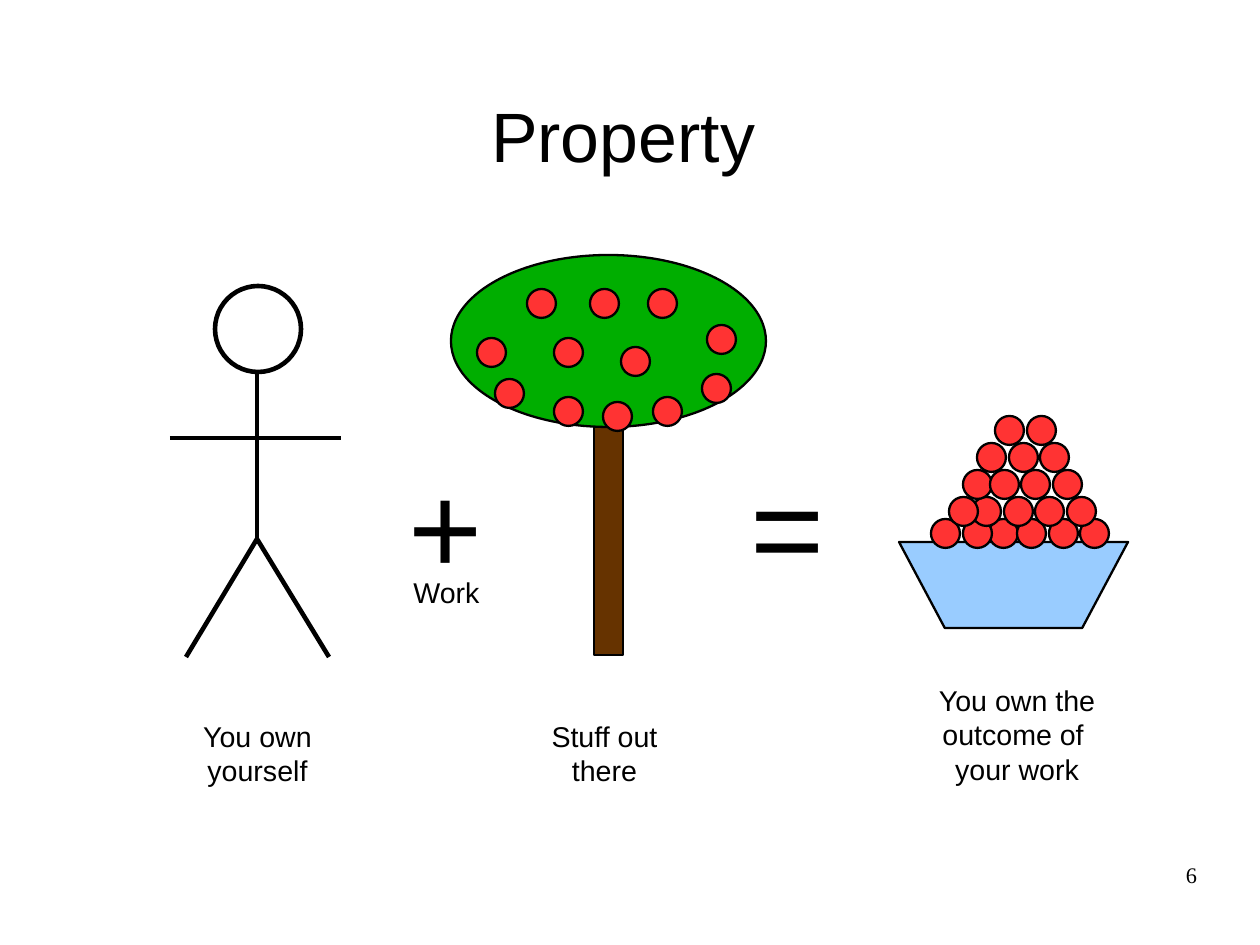
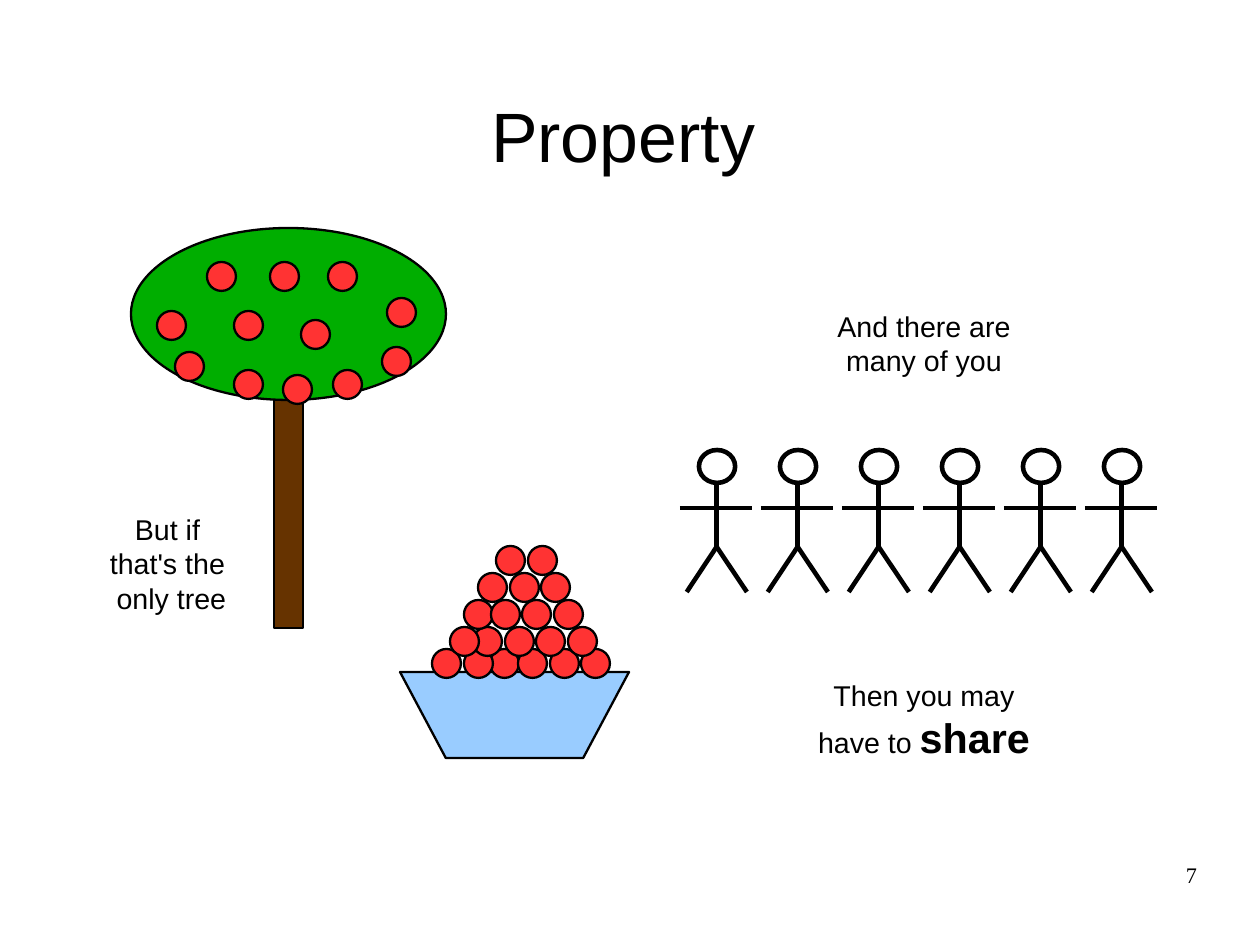
"""Build two slides that explain property with people, a tree and a bowl of apples."""
from lxml import etree
from pptx import Presentation
from pptx.dml.color import RGBColor
from pptx.enum.shapes import MSO_CONNECTOR, MSO_SHAPE
from pptx.enum.text import MSO_ANCHOR, PP_ALIGN
from pptx.oxml.ns import qn
from pptx.util import Pt

PX = 8000
SLIDE_SIZE = (1260, 945)
ELLIPSE = MSO_SHAPE.OVAL
RECTANGLE = MSO_SHAPE.RECTANGLE
BOWL = MSO_SHAPE.FLOWCHART_MANUAL_OPERATION
STRAIGHT = MSO_CONNECTOR.STRAIGHT
LEFT, CENTER, RIGHT = PP_ALIGN.LEFT, PP_ALIGN.CENTER, PP_ALIGN.RIGHT
TOP, MIDDLE = MSO_ANCHOR.TOP, MSO_ANCHOR.MIDDLE

BLACK, RED, GREEN = "000000", "FF3333", "00AE00"
BROWN, BLUE = "663300", "99CCFF"
SANS, SERIF = "Arial", "Times New Roman"
THIN, THICK = 1.45, 2.89
APPLE = 29

TREE_SIZE = (315, 400)
TREE_APPLES = [
    (26, 83), (256, 70), (44, 124), (103, 142), (202, 142), (251, 119),
    (170, 92), (103, 83), (76, 34), (197, 34), (152, 147), (139, 34),
]
BOWL_SIZE = (229, 212)
PILE_ROWS = [
    (103, (32, 90, 64, 118, 150, 181)),
    (81, (168, 136, 105, 73, 50)),
    (54, (64, 91, 122, 154)),
    (27, (141, 110, 78)),
    (0, (96, 128)),
]
PERSON_GRID = (171, 371)
PERSON_LINES = [
    ((87, 86), (87, 257)),
    ((0, 152), (171, 152)),
    ((16, 371), (87, 253)),
    ((159, 371), (87, 253)),
]


def px(value):
    """Turn px into EMU."""
    return round(value * PX)


def color(hex_value):
    """Turn a hex string into a colour."""
    return RGBColor.from_string(hex_value)


def add_figure(shapes, preset, box, fill=None, weight=THIN):
    """Add an outlined preset shape, filled if a colour is given."""
    figure = shapes.add_shape(preset, *map(px, box))
    figure.shadow.inherit = False
    if fill:
        figure.fill.solid()
        figure.fill.fore_color.rgb = color(fill)
    else:
        figure.fill.background()
    figure.line.color.rgb = color(BLACK)
    figure.line.width = Pt(weight)


def add_stroke(shapes, start, end):
    """Add a thick straight line."""
    stroke = shapes.add_connector(STRAIGHT, *map(px, (*start, *end)))
    stroke.line.color.rgb = color(BLACK)
    stroke.line.width = Pt(THICK)
    etree.SubElement(stroke._element.spPr, qn("a:effectLst"))


def add_text(slide, box, paragraphs, size=18, font=SANS, align=CENTER,
             anchor=TOP, insets=(11, 5), wrap=True):
    """Add a text box; each paragraph is a list of (text, size or None, bold)."""
    frame = slide.shapes.add_textbox(*map(px, box)).text_frame
    frame.word_wrap = wrap
    frame.vertical_anchor = anchor
    frame.margin_left = frame.margin_right = px(insets[0])
    frame.margin_top = frame.margin_bottom = px(insets[1])
    for index, runs in enumerate(paragraphs):
        paragraph = frame.add_paragraph() if index else frame.paragraphs[0]
        paragraph.alignment = align
        for text, own_size, bold in runs:
            run = paragraph.add_run()
            run.text = text
            run.font.name = font
            run.font.size = Pt(own_size or size)
            run.font.bold = bold
            run.font.color.rgb = color(BLACK)


def add_caption(slide, box, *lines):
    """Add centred plain text, one paragraph for each line."""
    add_text(slide, box, [[(line, None, False)] for line in lines])


def add_operator(slide, left, symbol):
    """Add a large arithmetic sign."""
    add_text(slide, (left, 443, 97, 153), [[(symbol, None, False)]],
             size=80, align=LEFT, wrap=False)


def add_person(slide, box):
    """Draw a stick person that fills the box."""
    left, top, width, height = box
    across, down = width / PERSON_GRID[0], height / PERSON_GRID[1]

    def place(point):
        """Map a point of the person grid into the box."""
        return left + point[0] * across, top + point[1] * down

    shapes = slide.shapes.add_group_shape().shapes
    add_figure(shapes, ELLIPSE, (*place((45, 0)), 86 * across, 86 * down),
               weight=THICK)
    for start, end in PERSON_LINES:
        add_stroke(shapes, place(start), place(end))


def add_apples(shapes, left, top, offsets):
    """Draw apples at offsets from a corner."""
    for x, y in offsets:
        add_figure(shapes, ELLIPSE, (left + x, top + y, APPLE, APPLE), RED)


def add_tree(slide, left, top):
    """Draw an apple tree from its top left corner."""
    width, height = TREE_SIZE
    shapes = slide.shapes.add_group_shape().shapes
    trunk = (left + (width - 29) // 2, top + 143, 29, height - 143)
    add_figure(shapes, RECTANGLE, trunk, BROWN)
    add_figure(shapes, ELLIPSE, (left, top, width, 172), GREEN)
    add_apples(shapes, left, top, TREE_APPLES)


def add_apple_bowl(slide, left, top):
    """Draw a bowl with a pile of apples from its top left corner."""
    width, height = BOWL_SIZE
    shapes = slide.shapes.add_group_shape().shapes
    add_figure(shapes, BOWL, (left, top + 126, width, height - 126), BLUE)
    add_apples(shapes, left, top, [(x, y) for y, row in PILE_ROWS for x in row])


def new_slide(deck, number):
    """Add a slide with the shared title and its number."""
    slide = deck.slides.add_slide(deck.slide_layouts[6])
    add_text(slide, (66, 62, 1134, 146), [[("Property ", None, False)]],
             size=44, anchor=MIDDLE, insets=(0, 0))
    add_text(slide, (903, 861, 294, 65), [[(str(number), None, False)]],
             size=14, font=SERIF, align=RIGHT, insets=(0, 0))
    return slide


def build_work_slide(deck):
    """Show that a person plus a tree equals owned apples."""
    slide = new_slide(deck, 6)
    add_person(slide, (170, 286, 171, 371))
    add_caption(slide, (186, 714, 143, 75), "You own", "yourself")
    add_caption(slide, (533, 714, 143, 75), "Stuff out there")
    add_operator(slide, 398, "+")
    add_operator(slide, 740, "=")
    add_caption(slide, (375, 570, 143, 43), "Work")
    add_tree(slide, 451, 255)
    add_apple_bowl(slide, 899, 416)
    add_caption(slide, (885, 678, 264, 108), "You own the outcome of ", "your work")


def build_share_slide(deck):
    """Show one tree and many people who share it."""
    slide = new_slide(deck, 7)
    add_text(slide, (96, 507, 143, 107),
             [[("But if that's the ", None, False), (" only tree", None, False)]])
    add_tree(slide, 131, 228)
    add_apple_bowl(slide, 400, 546)
    add_text(slide, (792, 673, 264, 89),
             [[("Then you may have to ", None, False), ("share", 26, True)]])
    for index in range(6):
        add_person(slide, (680 + index * 81, 450, 72, 142))
    add_caption(slide, (792, 304, 264, 75), "And there are many of you")


def main():
    """Build and save the presentation."""
    deck = Presentation()
    deck.slide_width, deck.slide_height = map(px, SLIDE_SIZE)
    build_work_slide(deck)
    build_share_slide(deck)
    deck.save("out.pptx")


if __name__ == "__main__":
    main()
